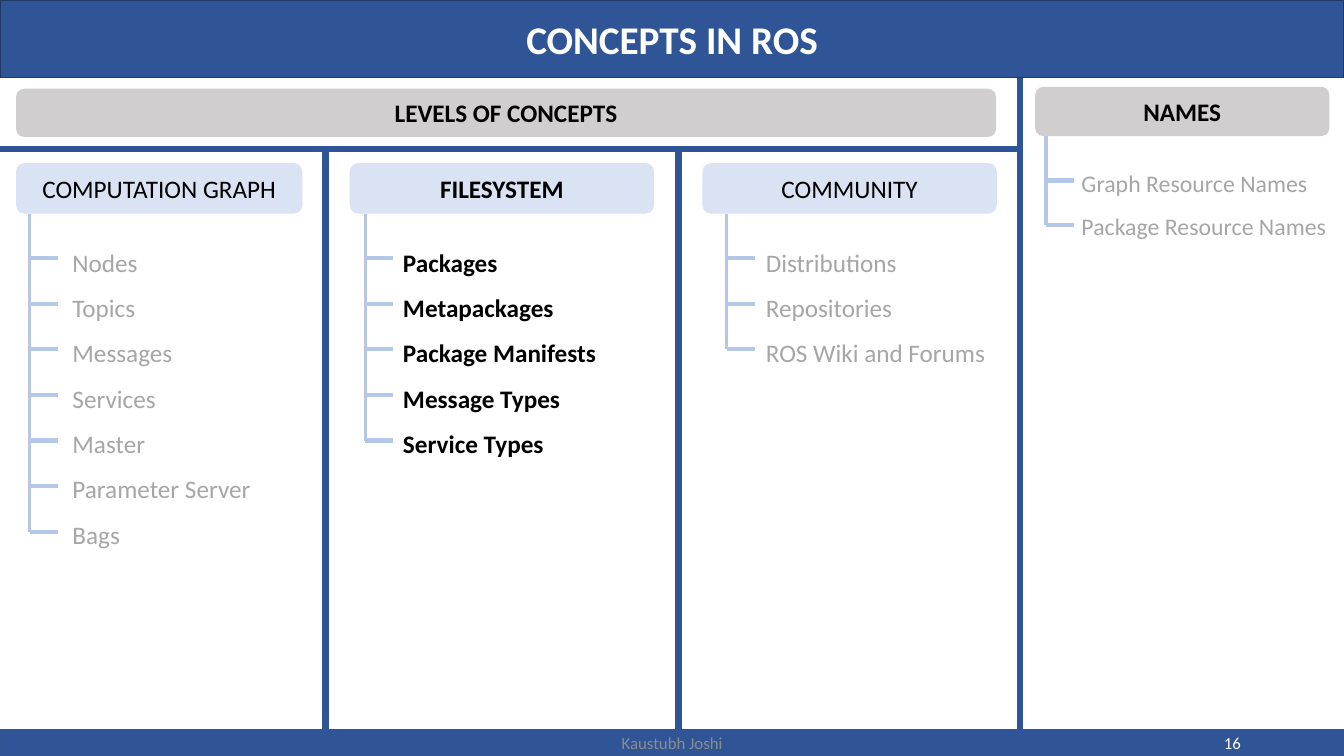
from lxml import etree
from pptx import Presentation
from pptx.dml.color import RGBColor
from pptx.enum.shapes import MSO_CONNECTOR, MSO_SHAPE
from pptx.enum.text import MSO_ANCHOR as ANCHOR, PP_ALIGN as ALIGN
from pptx.oxml.ns import qn
from pptx.util import Pt

WIDTH, HEIGHT = 960, 540
NAVY, PALE, GREY = "2F5597", "DAE3F3", "D0CECE"
BRANCH, BLACK, FADED, WHITE = "B4C7E7", "000000", "A6A6A6", "FFFFFF"
TITLE_BOTTOM, FOOTER_TOP, LEVELS_BOTTOM = 55.4, 521.3, 106.6
NAMES_LEFT = 728.6

presentation = Presentation()
presentation.slide_width, presentation.slide_height = Pt(WIDTH), Pt(HEIGHT)
slide = presentation.slides.add_slide(presentation.slide_layouts[6])


def add_box(text, left, top, width, height, fill=None, line=None, kind=MSO_SHAPE.ROUNDED_RECTANGLE,
            size=18, color=BLACK, bold=False, align=ALIGN.CENTER, anchor=ANCHOR.MIDDLE,
            spacing=1.0, indent=0):
    bounds = Pt(left), Pt(top), Pt(width), Pt(height)
    if fill:
        shape = slide.shapes.add_shape(kind, *bounds)
        shape.shadow.inherit = False
        shape.fill.solid()
        shape.fill.fore_color.rgb = RGBColor.from_string(fill)
        if line:
            shape.line.color.rgb = RGBColor.from_string(line)
            shape.line.width = Pt(1)
        else:
            shape.line.fill.background()
    else:
        shape = slide.shapes.add_textbox(*bounds)
    frame = shape.text_frame
    frame.word_wrap = True
    frame.vertical_anchor = anchor
    frame.margin_left = Pt(7.2 + indent)
    frame.text = text
    for paragraph in frame.paragraphs:
        paragraph.alignment = align
        paragraph.line_spacing = spacing
        paragraph.font.name = "Calibri"
        paragraph.font.size = Pt(size)
        paragraph.font.bold = bold
        paragraph.font.color.rgb = RGBColor.from_string(color)


def add_line(x1, y1, x2, y2, color=NAVY, width=4.5):
    connector = slide.shapes.add_connector(MSO_CONNECTOR.STRAIGHT, Pt(x1), Pt(y1), Pt(x2), Pt(y2))
    connector.line.color.rgb = RGBColor.from_string(color)
    connector.line.width = Pt(width)
    etree.SubElement(connector._element.spPr, qn("a:effectLst"))


add_box("CONCEPTS IN ROS", 0, 0, WIDTH, TITLE_BOTTOM, fill=NAVY, line="203864",
        kind=MSO_SHAPE.RECTANGLE, size=28, color=WHITE, bold=True)
add_box("", 0, FOOTER_TOP, WIDTH, HEIGHT - FOOTER_TOP, fill=NAVY, line="325491",
        kind=MSO_SHAPE.RECTANGLE)
add_box("16", 677.5, 516.2, 216, 28.8, size=12, color=WHITE, align=ALIGN.RIGHT)
add_box("Kaustubh Joshi", 318.2, 516.2, 324, 28.8, size=12, color="8C8C8C")

for x in (232.6, 484.6):
    add_line(x, LEVELS_BOTTOM, x, FOOTER_TOP)
add_line(NAMES_LEFT, TITLE_BOTTOM, NAMES_LEFT, FOOTER_TOP)
add_line(0, LEVELS_BOTTOM, NAMES_LEFT, LEVELS_BOTTOM)
add_box("LEVELS OF CONCEPTS", 11.5, 63.4, 700, 34.4, fill=GREY, bold=True)

level = dict(top=116.6, height=36, fill=PALE, list_top=162, first=184.3, step=32.6, size=18)
names = dict(top=62, height=35.3, fill=GREY, list_top=106.6, first=128.9, step=31.7, size=17)
columns = [
    ("COMPUTATION GRAPH", 11.5, 204.5, False, 21.2, 30.2, 14.4, FADED, False, level,
     ["Nodes", "Topics", "Messages", "Services", "Master", "Parameter Server", "Bags"]),
    ("FILESYSTEM", 249.8, 217.4, True, 260.8, 280.8, 0, BLACK, True, level,
     ["Packages", "Metapackages", "Package Manifests", "Message Types", "Service Types"]),
    ("COMMUNITY", 501.8, 210.2, False, 519.1, 540, 0, FADED, False, level,
     ["Distributions", "Repositories", "ROS Wiki and Forums"]),
    ("NAMES", 739.4, 210.2, True, 747.2, 765.4, 0, FADED, False, names,
     ["Graph Resource Names", "Package Resource Names"]),
]
for (heading, left, width, heading_bold, trunk, list_left, indent,
     color, items_bold, row, items) in columns:
    add_box(heading, left, row["top"], width, row["height"], fill=row["fill"], bold=heading_bold)
    add_box("\n".join(items), list_left, row["list_top"], min(204.5, WIDTH - list_left),
            7.2 + row["step"] * len(items), size=row["size"], color=color, bold=items_bold,
            align=ALIGN.LEFT, anchor=ANCHOR.TOP, spacing=1.5, indent=indent)
    ticks = [row["first"] + row["step"] * index for index in range(len(items))]
    add_line(trunk, row["top"] + row["height"], trunk, ticks[-1], color=BRANCH, width=2.25)
    for tick in ticks:
        add_line(trunk, tick, trunk + 20.2, tick, color=BRANCH, width=3)

presentation.save("out.pptx")
